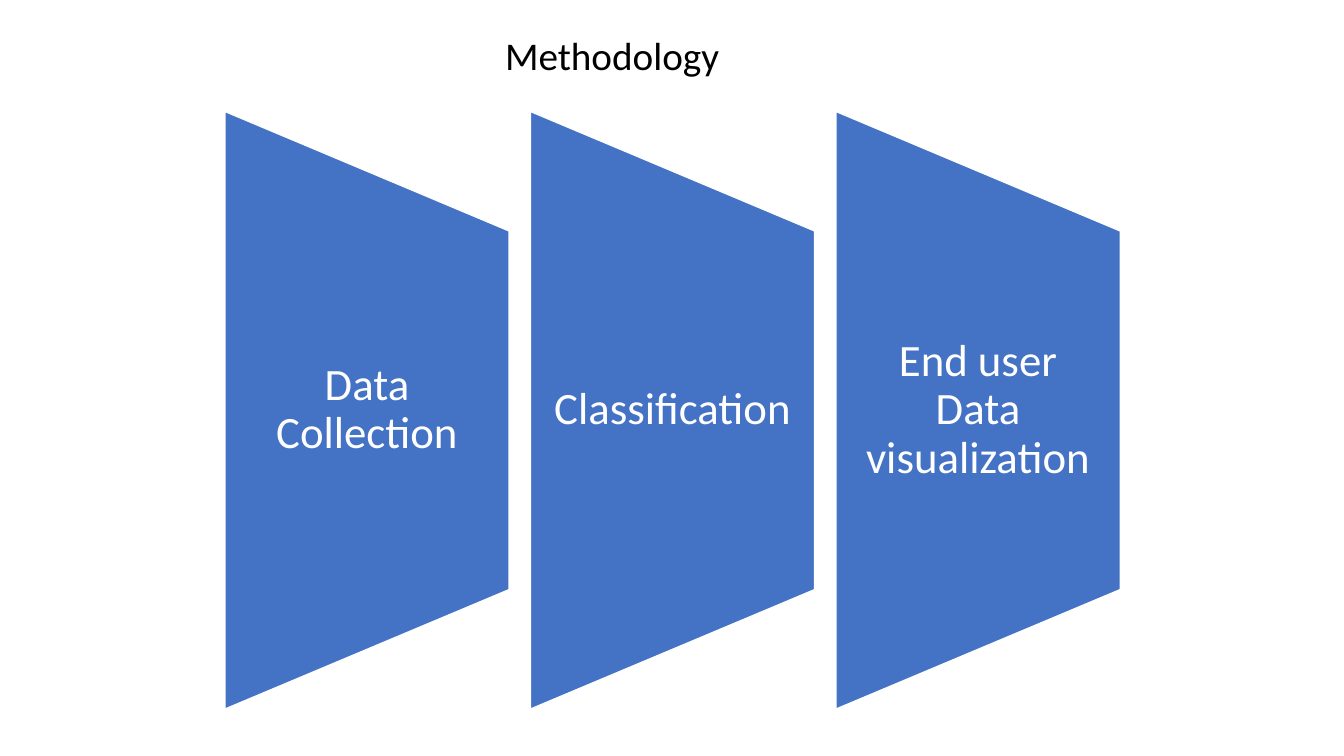
from dataclasses import dataclass

from pptx import Presentation
from pptx.dml.color import RGBColor
from pptx.enum.shapes import MSO_SHAPE as Shape
from pptx.enum.text import MSO_ANCHOR as Anchor, MSO_AUTO_SIZE as AutoSize, PP_ALIGN as Align
from pptx.util import Inches, Pt


@dataclass(frozen=True)
class Theme:
    font: str = "Calibri"
    heading_size: int = 28
    step_size: int = 32
    heading_color: RGBColor = RGBColor(0x00, 0x00, 0x00)
    panel_color: RGBColor = RGBColor(0x44, 0x72, 0xC4)
    light: RGBColor = RGBColor(0xFF, 0xFF, 0xFF)


THEME = Theme()
STEPS = ["Data Collection", "Classification", "End user Data visualization"]
FIRST_LEFT, STEP_PITCH = 2.23, 3.03
PANEL_WIDTH, PANEL_HEIGHT = 2.82, 5.93
LABEL_HEIGHT, MIDDLE = 3.56, 4.07


def style_text(paragraph, size, color, align):
    paragraph.alignment = align
    for run in paragraph.runs:
        run.font.name = THEME.font
        run.font.size = Pt(size)
        run.font.color.rgb = color


def set_heading(slide, text):
    heading = slide.shapes.title
    heading.left, heading.top = Inches(4.91), Inches(0.26)
    heading.width, heading.height = Inches(2.44), Inches(0.57)
    frame = heading.text_frame
    frame.text = text
    frame.word_wrap = False
    frame.auto_size = AutoSize.SHAPE_TO_FIT_TEXT
    frame.vertical_anchor = Anchor.TOP
    style_text(frame.paragraphs[0], THEME.heading_size, THEME.heading_color, Align.LEFT)


def add_panel(slide, left):
    panel = slide.shapes.add_shape(
        Shape.FLOWCHART_MANUAL_OPERATION,
        Inches(left + (PANEL_WIDTH - PANEL_HEIGHT) / 2), Inches(MIDDLE - PANEL_WIDTH / 2),
        Inches(PANEL_HEIGHT), Inches(PANEL_WIDTH),
    )
    panel.rotation = 270
    panel.shadow.inherit = False
    panel.fill.solid()
    panel.fill.fore_color.rgb = THEME.panel_color
    panel.line.color.rgb = THEME.light
    panel.line.width = Pt(1)


def add_label(slide, left, text):
    label = slide.shapes.add_textbox(
        Inches(left), Inches(MIDDLE - LABEL_HEIGHT / 2), Inches(PANEL_WIDTH), Inches(LABEL_HEIGHT)
    )
    frame = label.text_frame
    frame.text = text
    frame.word_wrap = True
    frame.vertical_anchor = Anchor.MIDDLE
    frame.margin_left = frame.margin_right = Inches(0.22)
    frame.margin_top = frame.margin_bottom = 0
    paragraph = frame.paragraphs[0]
    paragraph.line_spacing = 0.9
    style_text(paragraph, THEME.step_size, THEME.light, Align.CENTER)


def main():
    deck = Presentation()
    deck.slide_width, deck.slide_height = Inches(13.33), Inches(7.5)
    slide = deck.slides.add_slide(deck.slide_layouts.get_by_name("Title Only"))
    for index, step in enumerate(STEPS):
        left = FIRST_LEFT + index * STEP_PITCH
        add_panel(slide, left)
        add_label(slide, left, step)
    set_heading(slide, "Methodology")
    deck.save("out.pptx")


if __name__ == "__main__":
    main()
